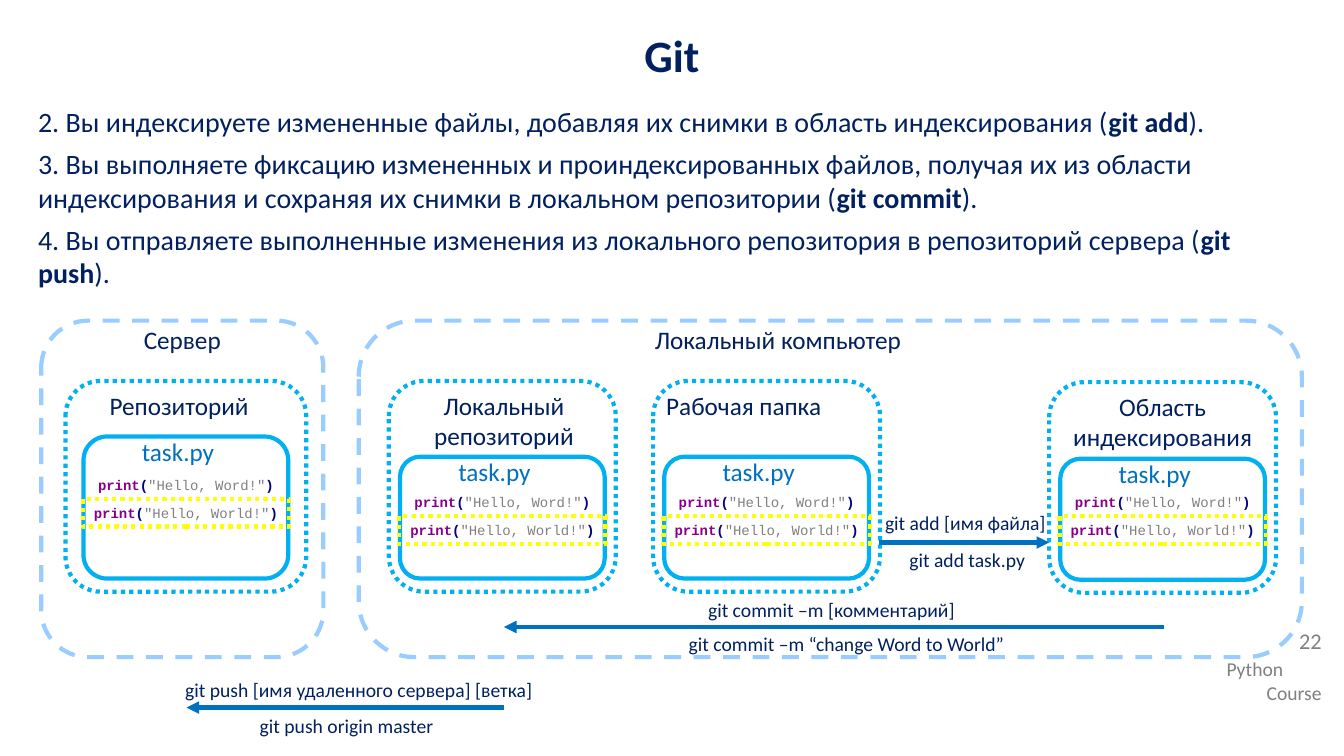
from lxml import etree
from pptx import Presentation
from pptx.dml.color import RGBColor
from pptx.enum.dml import MSO_LINE
from pptx.enum.shapes import MSO_CONNECTOR, MSO_SHAPE
from pptx.enum.text import PP_ALIGN
from pptx.oxml.ns import qn
from pptx.util import Cm, Pt

NAVY = RGBColor(0x00, 0x20, 0x60)
BLUE = RGBColor(0x00, 0x70, 0xC0)
SKY = RGBColor(0x00, 0xB0, 0xF0)
PALE_BLUE = RGBColor(0x99, 0xCC, 0xFF)
YELLOW = RGBColor(0xFF, 0xFF, 0x00)
GRAY = RGBColor(0x80, 0x80, 0x80)
PURPLE = RGBColor(0x88, 0x00, 0x88)
CODE_NAVY = RGBColor(0x00, 0x00, 0x80)

LEFT, CENTER, RIGHT = PP_ALIGN.LEFT, PP_ALIGN.CENTER, PP_ALIGN.RIGHT
ROUNDED, RECTANGLE = MSO_SHAPE.ROUNDED_RECTANGLE, MSO_SHAPE.RECTANGLE
SOLID, DASH, DOTS = MSO_LINE.SOLID, MSO_LINE.DASH, MSO_LINE.ROUND_DOT
STRAIGHT = MSO_CONNECTOR.STRAIGHT

FRAME_HEIGHT = 5.31
CARD_WIDTH = 5.16
CODE_WIDTH, CODE_HEIGHT = 5.2, 0.69

STEPS = [
    ("2. Вы индексируете измененные файлы, добавляя их снимки в область индексирования (", "git add"),
    ("3. Вы выполняете фиксацию измененных и проиндексированных файлов, получая их из области "
     "индексирования и сохраняя их снимки в локальном репозитории (", "git commit"),
    ("4. Вы отправляете выполненные изменения из локального репозитория в репозиторий сервера (", "git push"),
]
HOSTS = [
    ("Сервер", 1.04, 7.11, 7.11),
    ("Локальный компьютер", 9.04, 23.77, 21.13),
]
STORES = [
    ("Репозиторий", CENTER, 1.48, 1.65, 9.6, 6.07, 11, 11.89),
    ("Локальный репозиторий", CENTER, 9.84, 9.8, 9.6, 5.72, 11.51, 12.32),
    ("Рабочая папка", LEFT, 16.54, 16.46, 9.6, 5.72, 11.51, 12.32),
    ("Область индексирования", CENTER, 26.44, 26.44, 9.63, 5.72, 11.56, 12.32),
]
COMMANDS = [
    ("git add [имя файла]", 21.97, 12.75, 4.72),
    ("git add task.py", 22.15, 13.69, 4.45),
    ("git commit –m [комментарий]", 12.65, 14.94, 16.61),
    ("git commit –m “change Word to World”", 13.41, 15.8, 15.85),
    ("git push [имя удаленного сервера] [ветка]", 3, 16.97, 12.09),
    ("git push origin master", 2.69, 17.86, 12.09),
]
ARROWS = [(22.15, 26.44, 13.67), (29.34, 12.7, 15.8), (12.7, 4.7, 17.83)]


def style(paragraph, size, color=NAVY, align=LEFT, after=0, font="Calibri"):
    """Set the font, alignment and spacing of a paragraph."""
    paragraph.alignment = align
    paragraph.space_after = Pt(after)
    paragraph.font.name = font
    paragraph.font.size = Pt(size)
    paragraph.font.color.rgb = color


def add_box(slide, left, top, width, height):
    """Add an empty wrapping text box and return its text frame."""
    frame = slide.shapes.add_textbox(Cm(left), Cm(top), Cm(width), Cm(height)).text_frame
    frame.word_wrap = True
    return frame


def add_label(slide, text, left, top, width, height, size, color=NAVY, align=CENTER, after=6):
    """Add a one-paragraph label and return the paragraph."""
    paragraph = add_box(slide, left, top, width, height).paragraphs[0]
    paragraph.text = text
    style(paragraph, size, color, align, after)
    return paragraph


def add_outline(slide, kind, left, top, width, height, color, dash):
    """Add an unfilled shape with a thick outline."""
    outline = slide.shapes.add_shape(kind, Cm(left), Cm(top), Cm(width), Cm(height))
    outline.shadow.inherit = False
    outline.fill.background()
    outline.line.color.rgb = color
    outline.line.width = Pt(3)
    outline.line.dash_style = dash
    return outline


def write_code(frame, greeting):
    """Write a highlighted print call into a text frame."""
    frame.word_wrap = True
    frame.margin_left = frame.margin_right = Cm(0)
    call = frame.paragraphs[0]
    style(call, 10, CODE_NAVY, CENTER, font="Courier New")
    tokens = [("print", PURPLE, True), ("(", CODE_NAVY, True),
              (f'"{greeting}"', GRAY, False), (")", CODE_NAVY, True)]
    for text, color, bold in tokens:
        token = call.add_run()
        token.text = text
        token.font.color.rgb = color
        token.font.bold = bold


def add_store(slide, caption, align, caption_left, left, top, width, card_top, code_top):
    """Add a dotted store holding the file card and its two code lines."""
    add_outline(slide, ROUNDED, left, top, width, FRAME_HEIGHT, SKY, DOTS)
    add_label(slide, caption, caption_left, top + 0.1, 5.72 if width < 6 else width, 1.8, 18, align=align)
    center = left + width / 2
    card_left = center - CARD_WIDTH / 2
    card_height = top + FRAME_HEIGHT - 0.33 - card_top
    add_outline(slide, ROUNDED, card_left, card_top, CARD_WIDTH, card_height, SKY, SOLID)
    add_label(slide, "task.py", card_left + 1.22, card_top - 0.13, 2.54, 1.02, 18, BLUE, LEFT)
    code_left = center - CODE_WIDTH / 2
    write_code(add_box(slide, code_left, code_top, CODE_WIDTH, CODE_HEIGHT), "Hello, Word!")
    changed_line = add_outline(slide, RECTANGLE, code_left, code_top + CODE_HEIGHT,
                               CODE_WIDTH, CODE_HEIGHT, YELLOW, DOTS)
    write_code(changed_line.text_frame, "Hello, World!")


def add_arrow(slide, start, end, height):
    """Add a horizontal arrow between two positions."""
    arrow = slide.shapes.add_connector(STRAIGHT, Cm(start), Cm(height), Cm(end), Cm(height))
    arrow.line.color.rgb = BLUE
    arrow.line.width = Pt(3)
    etree.SubElement(arrow.line._get_or_add_ln(), qn("a:tailEnd"), type="triangle")
    etree.SubElement(arrow._element.spPr, qn("a:effectLst"))


def add_steps(slide):
    """Add the numbered steps with their commands in bold."""
    frame = add_box(slide, 0.71, 2.51, 32.46, 4.95)
    for index, (text, command) in enumerate(STEPS):
        step = frame.add_paragraph() if index else frame.paragraphs[0]
        style(step, 20, after=6)
        for part in (text, command, ")."):
            run = step.add_run()
            run.text = part
            run.font.bold = part == command


def add_footer(slide):
    """Add the slide number and the course name."""
    course = add_box(slide, 30.66, 16.43, 2.9, 1.45)
    course.text = "Python\nCourse"
    for line, align in zip(course.paragraphs, (LEFT, RIGHT)):
        style(line, 14, GRAY, align)
    number = add_label(slide, "22", 30.66, 15.75, 2.9, 1.14, 16, GRAY, RIGHT, 0)
    number.line_spacing = 0.9


def main():
    """Build the Git workflow slide."""
    deck = Presentation()
    deck.slide_width, deck.slide_height = Cm(33.87), Cm(19.05)
    slide = deck.slides.add_slide(deck.slide_layouts[6])
    add_footer(slide)
    for name, left, width, name_width in HOSTS:
        add_outline(slide, ROUNDED, left, 8.08, width, 8.48, PALE_BLUE, DASH)
        add_label(slide, name, left, 8.06, name_width, 1.02, 18)
    for store in STORES:
        add_store(slide, *store)
    for arrow in ARROWS:
        add_arrow(slide, *arrow)
    for text, left, top, width in COMMANDS:
        add_label(slide, text, left, top, width, 0.86, 14)
    title = add_label(slide, "Git", 0, 0.58, 33.87, 1.93, 32, after=5)
    title.font.bold = True
    add_steps(slide)
    deck.save("out.pptx")


if __name__ == "__main__":
    main()
